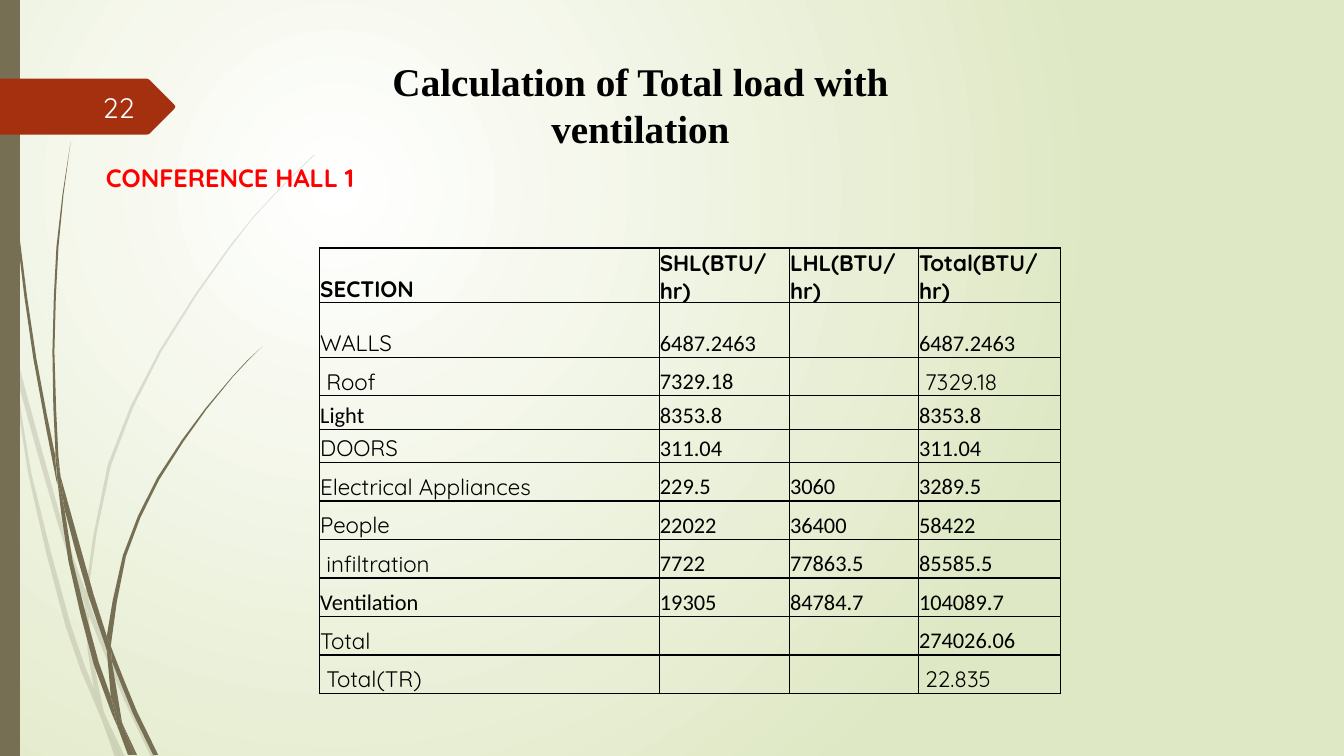
from dataclasses import dataclass
from math import dist
from lxml import etree
from pptx import Presentation
from pptx import util as u
from pptx.dml.color import RGBColor
from pptx.enum import shapes, text
from pptx.oxml import ns

Points = tuple[tuple[float, float], ...]


@dataclass(frozen=True)
class Theme:
    olive: str = "766F54"
    rust: str = "A53010"
    ink: str = "000000"
    red: str = "FF0000"
    white: str = "FEFFFF"
    glow: str = "FFFFFF"
    meadow: str = "DFE8C4"
    title_font: str = "Times New Roman"
    body_font: str = "Quicksand"
    number_font: str = "Calibri"
    title_size: int = 28
    page_size: int = 20
    hall_size: int = 18
    table_size: int = 16


@dataclass(frozen=True)
class Blade:
    """One leaf segment: its two edges, in hundredths of an inch."""
    outward: Points
    back: Points


@dataclass(frozen=True)
class LoadRow:
    section: str
    sensible: str
    latent: str
    total: str
    height: float = 0.97
    label_font: str = "Quicksand"
    bold: bool = False


THEME = Theme()
NBSP = "\u00a0"

PALE_BLADES = (
    Blade(((11, 350), (9, 322), (0, 282)), ((0, 299), (10, 344))),
    Blade(((14, 345), (17, 376), (58, 522), (84, 599)), ((85, 586), (62, 520), (14, 345))),
    Blade(((88, 596), (88, 610), (123, 694), (150, 751)),
          ((155, 751), (127, 692), (92, 607), (88, 596))),
    Blade(((105, 711), (119, 751)), ((124, 751), (105, 711))),
    Blade(((11, 350), (28, 470), (65, 621), (92, 693), (101, 714)),
          ((99, 707), (93, 683), (70, 619), (31, 469), (17, 376), (11, 350))),
    Blade(((84, 599), (87, 646), (93, 683), (96, 692), (105, 711)),
          ((103, 706), (91, 646), (88, 610), (84, 599))),
    Blade(((312, 153), (289, 175), (268, 197), (228, 244), (158, 348), (107, 461), (85, 586)),
          ((88, 596), (88, 584), (110, 462), (160, 349), (229, 245), (268, 198), (312, 154))),
    Blade(((101, 714), (114, 751)), ((119, 751), (101, 714))),
    Blade(((85, 586), (84, 599), (88, 608)), ((88, 610), (88, 596))),
    Blade(((93, 683), (99, 707), (101, 714), (119, 751)), ((105, 711), (96, 692), (93, 683))),
)
DARK_BLADES = (
    Blade(((3, 0), (4, 48), (7, 110), (17, 233), (33, 355), (56, 477), (57, 481)),
          ((55, 457), (55, 453), (36, 355), (19, 232), (8, 109), (5, 48), (4, 0))),
    Blade(((60, 472), (64, 505), (88, 592), (106, 645)),
          ((106, 633), (106, 631), (93, 590), (60, 472))),
    Blade(((110, 641), (111, 656), (132, 708), (152, 749)),
          ((157, 749), (136, 706), (113, 649), (110, 641))),
    Blade(((57, 477), (68, 557), (93, 659), (111, 708), (117, 722)),
          ((116, 717), (110, 691), (98, 657), (72, 556), (64, 505), (57, 477))),
    Blade(((70, 141), (62, 193), (56, 245), (52, 349), (55, 449), (60, 472)),
          ((58, 453), (54, 349), (58, 245), (63, 193), (70, 141))),
    Blade(((122, 719), (133, 749)), ((136, 749), (122, 719))),
    Blade(((55, 449), (55, 453), (57, 477), (64, 505)), ((60, 472), (55, 449))),
    Blade(((260, 344), (245, 358), (231, 373), (204, 405), (156, 474), (122, 551), (106, 631)),
          ((110, 641), (111, 633), (125, 552), (158, 476), (205, 406), (231, 374),
           (245, 359), (260, 344))),
    Blade(((117, 722), (127, 749)), ((131, 749), (117, 722))),
    Blade(((106, 645), (110, 691), (116, 706), (122, 719)),
          ((121, 716), (111, 656), (109, 651), (106, 645))),
    Blade(((106, 631), (106, 645), (109, 651), (111, 656)), ((110, 641), (106, 631))),
    Blade(((110, 691), (116, 717), (117, 722), (130, 749)),
          ((133, 749), (122, 719), (116, 706), (110, 691))),
)
PAGE_TAB = ((0, 78), (146, 78), (148, 79), (173, 104), (174, 106),
            (173, 108), (148, 133), (146, 133.5), (0, 133.5))

COLUMN_WIDTHS = (8.56, 3.28, 3.25, 3.58)
LOADS = (
    LoadRow("SECTION", "SHL(BTU/hr)", "LHL(BTU/hr)", "Total(BTU/hr)", bold=True),
    LoadRow("WALLS", "6487.2463", "", "6487.2463", 1.38),
    LoadRow(NBSP + "Roof", "7329.18", "", NBSP + "7329.18"),
    LoadRow("Light", "8353.8", "", "8353.8", 0.84, THEME.number_font),
    LoadRow("DOORS", "311.04", "", "311.04", 0.84),
    LoadRow("Electrical Appliances", "229.5", "3060", "3289.5"),
    LoadRow("People", "22022", "36400", "58422"),
    LoadRow(" infiltration", "7722", "77863.5", "85585.5"),
    LoadRow("Ventilation", "19305", "84784.7", "104089.7", label_font=THEME.number_font),
    LoadRow("Total", "", "", "274026.06"),
    LoadRow(NBSP + "Total(TR)", "", "", NBSP + "22.835"),
)


def smooth(edge: Points, long_span: float = 60) -> list[tuple[float, float]]:
    """Add a Catmull-Rom midpoint to every long span of an edge."""
    padded = (edge[0], *edge, edge[-1])
    curve = [edge[0]]
    for a, b, c, d in zip(padded, padded[1:], padded[2:], padded[3:]):
        if dist(b, c) > long_span:
            curve.append(tuple((9 * (b[i] + c[i]) - a[i] - d[i]) / 16 for i in (0, 1)))
        curve.append(c)
    return curve


def paint(shape, colour: str, opacity: int = 100) -> None:
    shape.shadow.inherit = False
    shape.line.fill.background()
    shape.fill.solid()
    shape.fill.fore_color.rgb = RGBColor.from_string(colour)
    if opacity < 100:
        rgb = shape.element.spPr.find(".//" + ns.qn("a:srgbClr"))
        etree.SubElement(rgb, ns.qn("a:alpha")).set("val", str(opacity * 1000))


def draw_outline(slide, outline, colour: str, opacity: int = 100) -> None:
    start, *rest = [(u.Cm(x * 0.0254), u.Cm(y * 0.0254)) for x, y in outline]
    if rest[-1] == start:
        rest.pop()
    builder = slide.shapes.build_freeform(*start)
    builder.add_line_segments(rest, close=True)
    paint(builder.convert_to_shape(), colour, opacity)


def draw_tuft(slide, blades: tuple[Blade, ...], opacity: int = 100) -> None:
    for blade in blades:
        draw_outline(slide, smooth(blade.outward) + smooth(blade.back), THEME.olive, opacity)


def write(frame, words: str, *, size: int, font: str, colour: str = THEME.ink,
          bold: bool = False, align=text.PP_ALIGN.LEFT) -> None:
    frame.word_wrap = True
    paragraph = frame.paragraphs[0]
    paragraph.alignment = align
    run = paragraph.add_run()
    run.text = words
    run.font.size, run.font.name, run.font.bold = u.Pt(size), font, bold
    run.font.color.rgb = RGBColor.from_string(colour)


def add_text(slide, box: tuple, words: str, anchor=text.MSO_ANCHOR.TOP, **style) -> None:
    frame = slide.shapes.add_textbox(*map(u.Cm, box)).text_frame
    frame.vertical_anchor = anchor
    write(frame, words, **style)


def border(cell) -> None:
    for position, side in enumerate(("lnL", "lnR", "lnT", "lnB")):
        line = etree.Element(ns.qn("a:" + side), w=str(u.Pt(1)))
        ink = etree.SubElement(line, ns.qn("a:solidFill"))
        etree.SubElement(ink, ns.qn("a:srgbClr"), val=THEME.ink)
        cell._tc.get_or_add_tcPr().insert(position, line)


def draw_loads(slide) -> None:
    heights = [load.height for load in LOADS]
    table = slide.shapes.add_table(
        len(LOADS), len(COLUMN_WIDTHS), u.Cm(8.05), u.Cm(6.25),
        u.Cm(sum(COLUMN_WIDTHS)), u.Cm(sum(heights))).table
    table.first_row = table.horz_banding = False
    for column, width in zip(table.columns, COLUMN_WIDTHS):
        column.width = u.Cm(width)
    for row, load in zip(table.rows, LOADS):
        row.height = u.Cm(load.height)
        entries = (load.section, load.sensible, load.latent, load.total)
        for index, (cell, entry) in enumerate(zip(row.cells, entries)):
            cell.fill.background()
            border(cell)
            cell.margin_left = cell.margin_right = cell.margin_top = u.Cm(0.02)
            cell.margin_bottom = 0
            cell.vertical_anchor = text.MSO_ANCHOR.BOTTOM
            body = load.bold or entry.startswith(NBSP)
            font = load.label_font if index == 0 else (
                THEME.body_font if body else THEME.number_font)
            if entry:
                write(cell.text_frame, entry, size=THEME.table_size, font=font, bold=load.bold)


def draw_background(slide) -> None:
    fill = slide.background.fill
    fill.gradient()
    for stop, colour in zip(fill.gradient_stops, (THEME.glow, THEME.meadow)):
        stop.color.rgb = RGBColor.from_string(colour)
    gradient = slide.element.find(".//" + ns.qn("a:gradFill"))
    linear = gradient.find(ns.qn("a:lin"))
    radial = etree.Element(ns.qn("a:path"), path="circle")
    etree.SubElement(radial, ns.qn("a:fillToRect"), l="50000", t="50000", r="100000", b="100000")
    gradient.replace(linear, radial)


deck = Presentation()
deck.slide_width, deck.slide_height = u.Cm(33.87), u.Cm(19.05)
slide = deck.slides.add_slide(deck.slide_layouts[6])

# Backdrop: glow, grass, side bar and page tab
draw_background(slide)
draw_tuft(slide, PALE_BLADES, opacity=20)
draw_tuft(slide, DARK_BLADES)
side_bar = slide.shapes.add_shape(shapes.MSO_SHAPE.RECTANGLE, 0, 0, u.Cm(0.5), deck.slide_height)
paint(side_bar, THEME.olive)
draw_outline(slide, PAGE_TAB, THEME.rust)

# Headings and page number
add_text(slide, (7.76, 1.32, 16.76, 2.64), "Calculation of Total load with ventilation",
         size=THEME.title_size, font=THEME.title_font, bold=True, align=text.PP_ALIGN.CENTER)
add_text(slide, (2.42, 3.96, 6.96, 1.02), "CONFERENCE HALL 1",
         size=THEME.hall_size, font=THEME.body_font, colour=THEME.red, bold=True)
add_text(slide, (1.48, 2.2, 2.16, 1.02), "22", text.MSO_ANCHOR.MIDDLE, size=THEME.page_size,
         font=THEME.body_font, colour=THEME.white, align=text.PP_ALIGN.RIGHT)

# Load table
draw_loads(slide)

deck.save("out.pptx")
